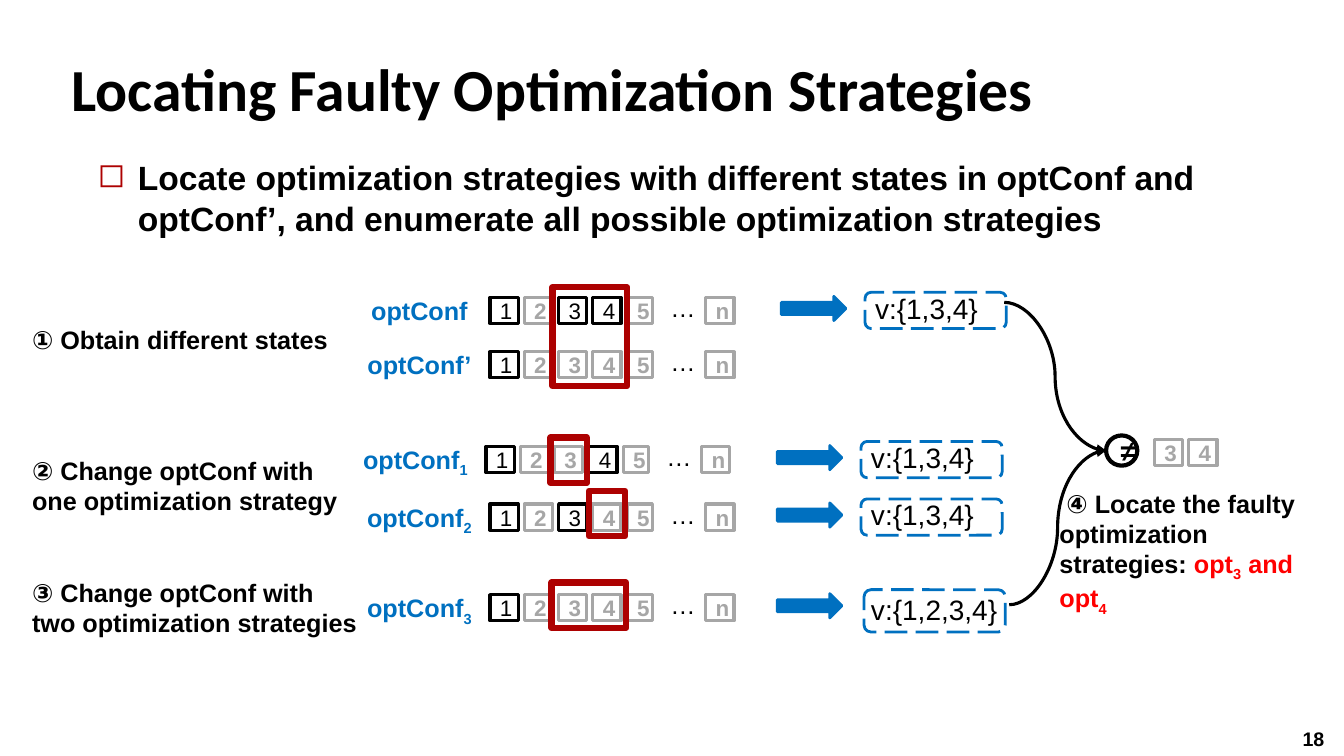
from lxml import etree
from pptx import Presentation
from pptx import util as u
from pptx.dml.color import RGBColor
from pptx.enum import dml, shapes, text
from pptx.oxml import ns

COLORS = {"black": "000000", "white": "FFFFFF", "gray": "A6A6A6",
          "blue": "0070C0", "dark_red": "AD0101", "red": "FF0000"}
SIZE = (13.33, 7.5)

TITLE = "Locating Faulty Optimization Strategies"
BODY = ("Locate optimization strategies with different states in optConf and "
        "optConf’, and enumerate all possible optimization strategies")
PAGE = "18"
CONFIGS = [
    {"name": "optConf", "sub": "", "on": "134", "value": "v:{1,3,4}", "x": 4.86, "y": 2.95},
    {"name": "optConf’", "sub": "", "on": "1", "value": "", "x": 4.86, "y": 3.49},
    {"name": "optConf", "sub": "1", "on": "14", "value": "v:{1,3,4}", "x": 4.82, "y": 4.43},
    {"name": "optConf", "sub": "2", "on": "13", "value": "v:{1,3,4}", "x": 4.86, "y": 5.0},
    {"name": "optConf", "sub": "3", "on": "1", "value": "v:{1,2,3,4}", "x": 4.86, "y": 5.9},
]
STEPS = [
    ("① Obtain different states", 3.17, 0.4),
    ("② Change optConf with one optimization strategy", 4.47, 0.71),
    ("③ Change optConf with two optimization strategies", 5.68, 0.71),
]
RESULT = [(" ④ Locate the faulty optimization strategies: ", "black", 0),
          ("opt", "red", 0), ("3", "red", -25),
          (" and opt", "red", 0), ("4", "red", -25)]
FOCUS = [(5.48, 2.85, 0.74, 0.98), (5.46, 4.34, 0.36, 0.45),
         (5.84, 4.87, 0.36, 0.45), (5.47, 5.78, 0.74, 0.45)]
FAULTY = "34"
CURVES = [((9.96, 3.0), (10.97, 4.47)), ((10.01, 6.0), (10.97, 4.47))]

PITCH, CELL_W, CELL_H = 0.34, 0.28, 0.26
CELL_X = {str(i + 1): i * PITCH for i in range(5)} | {"n": 2.14}
DOTS_X, ARROW_X, VALUE_X = 1.69, 7.71, 8.54

prs = Presentation()
prs.slide_width, prs.slide_height = (u.Inches(n) for n in SIZE)
s = prs.slides.add_slide(prs.slide_layouts[6])


def rgb(name):
    return RGBColor.from_string(COLORS[name])


def add_run(p, words, size, color="black", bold=False, font="Arial", base=0):
    r = p.add_run()
    r.text = words
    r.font.size, r.font.bold, r.font.name = u.Pt(size), bold, font
    r.font.color.rgb = rgb(color)
    if base:
        r._r.get_or_add_rPr().set("baseline", str(base * 1000))


def add_text(box, runs, size, bold=False, font="Arial", align=None):
    sp = s.shapes.add_textbox(*map(u.Inches, box))
    tf = sp.text_frame
    tf.word_wrap = True
    p = tf.paragraphs[0]
    p.alignment = align
    for words, color, base in runs:
        add_run(p, words, size, color, bold, font, base)
    return sp


def add_box(kind, box, line, width, fill=None):
    sp = s.shapes.add_shape(kind, *map(u.Inches, box))
    sp.shadow.inherit = False
    if fill:
        sp.fill.solid()
        sp.fill.fore_color.rgb = rgb(fill)
    else:
        sp.fill.background()
    sp.line.color.rgb = rgb(line)
    sp.line.width = u.Pt(width)
    return sp


def label_shape(sp, words, size, color, bold):
    tf = sp.text_frame
    tf.vertical_anchor = text.MSO_ANCHOR.MIDDLE
    p = tf.paragraphs[0]
    p.alignment = text.PP_ALIGN.CENTER
    add_run(p, words, size, color, bold)


def add_cell(words, x, y, on=False):
    color = "black" if on else "gray"
    width = 0.25 if words == "5" else CELL_W
    sp = add_box(shapes.MSO_SHAPE.RECTANGLE, (x, y, width, CELL_H), color, 2.25)
    label_shape(sp, words, 16, color, not on)


def add_config(name, sub, on, value, x, y):
    for words, offset in CELL_X.items():
        add_cell(words, x + offset, y, words in on)
    add_text((x + DOTS_X, y - 0.1, 0.35, 0.4), [("…", "black", 0)], 18)
    runs = [(name, "blue", 0)] + ([(sub, "blue", -25)] if sub else [])
    add_text((x - 1.39, y - 0.07, 1.38, 0.4), runs, 18, True, align=text.PP_ALIGN.CENTER)
    if not value:
        return
    shift = 0 if sub else 0.04
    add_box(shapes.MSO_SHAPE.RIGHT_ARROW, (ARROW_X + shift, y - 0.01, 0.64, 0.24),
            "blue", 2, "blue")
    last = sub == "3"
    box_x = VALUE_X + (0.03 if last else shift)
    sp = add_box(shapes.MSO_SHAPE.ROUNDED_RECTANGLE,
                 (box_x, y - 0.05, 1.4, 0.42 if last else 0.36), "blue", 2)
    sp.line.dash_style = dml.MSO_LINE.LONG_DASH
    add_text((VALUE_X + shift, y - (0.07 if last else 0.11), 1.48, 0.35),
             [(value, "black", 0)], 20)


def add_curve(start, end):
    c = s.shapes.add_connector(shapes.MSO_CONNECTOR.CURVE, *map(u.Inches, start + end))
    c.line.color.rgb = rgb("black")
    c.line.width = u.Pt(2.25)
    etree.SubElement(c.line._get_or_add_ln(), ns.qn("a:tailEnd"), type="triangle")
    etree.SubElement(c._element.spPr, ns.qn("a:effectLst"))


add_text((12.82, 7.16, 0.48, 0.34), [(PAGE, "black", 0)], 14, True)
sp = add_text((0.61, 0.34, 12.24, 0.93), [(TITLE, "black", 0)], 42.6, True, "Calibri")
sp.text_frame.vertical_anchor = text.MSO_ANCHOR.BOTTOM
sp.text_frame.paragraphs[0].line_spacing = u.Pt(46.6)

sp = add_text((0.87, 1.51, 11.8, 0.91), [(BODY, "black", 0)], 24, True)
pPr = sp.text_frame.paragraphs[0]._p.get_or_add_pPr()
pPr.set("marL", str(u.Inches(0.4)))
pPr.set("indent", str(-u.Inches(0.4)))
bullet_color = etree.SubElement(pPr, ns.qn("a:buClr"))
etree.SubElement(bullet_color, ns.qn("a:srgbClr"), val=COLORS["dark_red"])
etree.SubElement(pPr, ns.qn("a:buChar"), char="◻")

for config in CONFIGS:
    add_config(**config)
for box in FOCUS:
    add_box(shapes.MSO_SHAPE.RECTANGLE, box, "dark_red", 4.5)
for words, y, height in STEPS:
    add_text((0.22, y, 3.43, height), [(words, "black", 0)], 18, True)

sp = add_box(shapes.MSO_SHAPE.OVAL, (10.97, 4.32, 0.31, 0.3), "black", 3, "white")
label_shape(sp, "≠", 20, "black", True)
for start, end in CURVES:
    add_curve(start, end)
for i, words in enumerate(FAULTY):
    add_cell(words, 11.45 + i * PITCH, 4.36)
add_text((10.41, 4.79, 2.93, 0.99), RESULT, 18, True)

prs.save("out.pptx")
